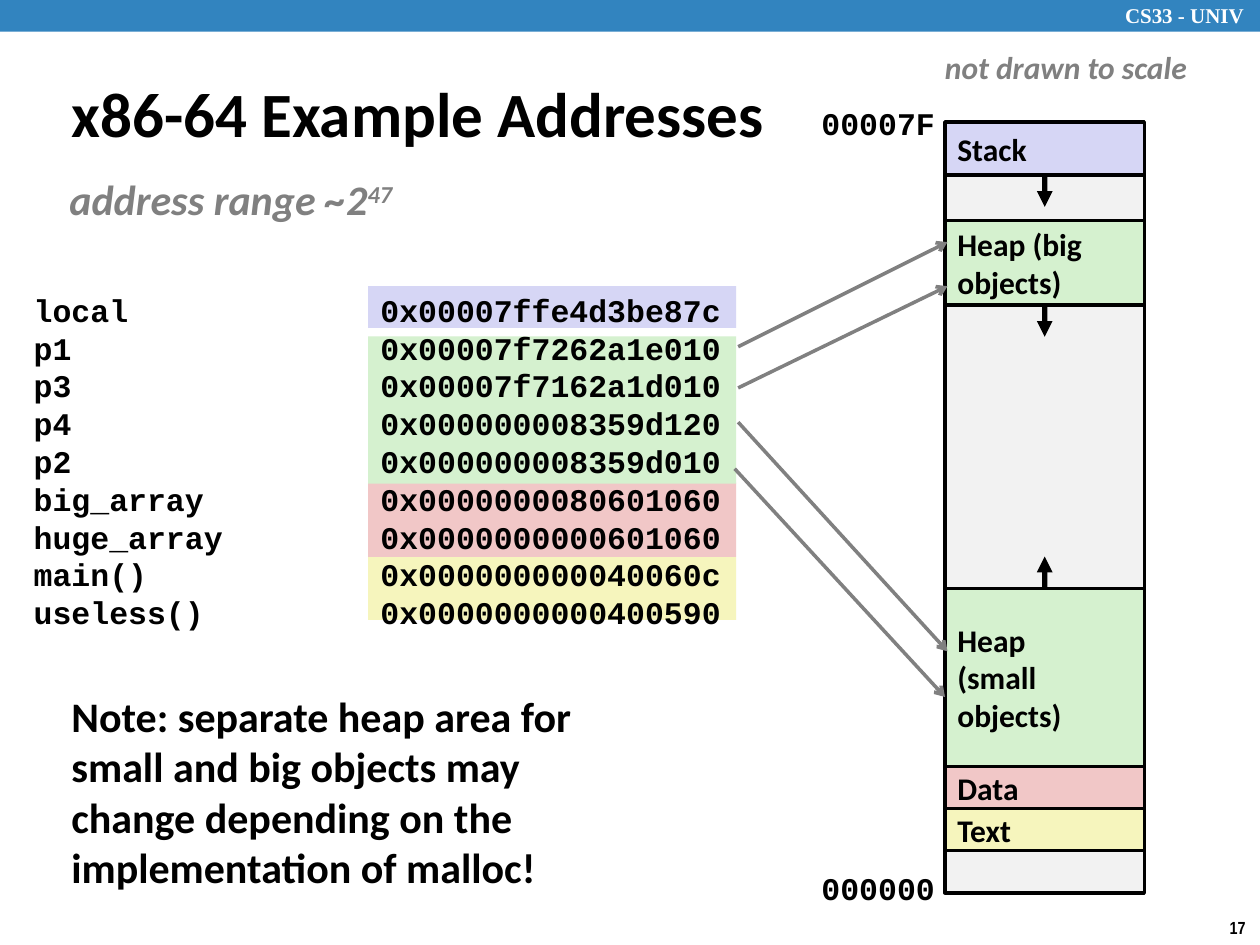
from pptx import Presentation
from pptx.util import Cm, Pt
from pptx.dml.color import RGBColor
from pptx.enum.shapes import MSO_CONNECTOR, MSO_SHAPE
from pptx.enum.text import MSO_ANCHOR, PP_ALIGN
from pptx.oxml.ns import qn
from lxml.etree import SubElement

HUES = {"bar": "3284BF", "stack": "D6D6F5", "heap": "D5F1CF", "data": "F1C7C7",
        "code": "F6F5BD", "free": "F2F2F2", "ink": "000000", "gray": "808080",
        "white": "FFFFFF"}
rgb = {name: RGBColor.from_string(hue) for name, hue in HUES.items()}

deck = Presentation()
deck.slide_width, deck.slide_height = Cm(25.4), Cm(19.05)
slide = deck.slides.add_slide(deck.slide_layouts[6])
shapes = slide.shapes


def write(text, box=None, shape=None, font="Calibri", size=18, hue="ink", italic=False,
          wrap=False, mid=False, inset=None, tab=None, pitch=None, sup=None):
    """Put text in a shape, or in a new text box at box (left, top, width, height in cm)."""
    shape = shape or shapes.add_textbox(*map(Cm, box))
    frame = shape.text_frame
    frame.word_wrap = wrap
    frame.vertical_anchor = MSO_ANCHOR.MIDDLE if mid else MSO_ANCHOR.TOP
    if inset:
        frame.margin_left = frame.margin_right = Cm(inset)
    for i, line in enumerate(text.split("\n")):
        par = frame.paragraphs[0] if i == 0 else frame.add_paragraph()
        par.alignment = PP_ALIGN.LEFT
        if pitch:
            par.line_spacing = Pt(pitch)
        if tab:
            tabs = SubElement(par._p.get_or_add_pPr(), qn("a:tabLst"))
            SubElement(tabs, qn("a:tab"), pos=str(Cm(tab)), algn="l")
        for part in [line, sup] if sup else [line]:
            run = par.add_run()
            run.text = part
            run.font.name, run.font.size = font, Pt(size)
            run.font.bold, run.font.italic = True, italic
            run.font.color.rgb = rgb[hue]
        if sup:
            run._r.get_or_add_rPr().set("baseline", "30000")


def arrow(start, end, hue, width, head):
    """Draw an arrow between two (x, y) points in cm."""
    line = shapes.add_connector(MSO_CONNECTOR.STRAIGHT, *map(Cm, start + end))
    line.line.color.rgb = rgb[hue]
    line.line.width = Pt(width)
    SubElement(line.line._get_or_add_ln(), qn("a:tailEnd"), type=head)
    SubElement(line._element.spPr, qn("a:effectLst"))
    return line


# Filled areas: header bar, bands behind the addresses, memory column
COL, WIDE = 19.05, 4.02
BAND = 7.42
areas = [
    ("bar", 0, 0, 25.4, 0.64, ""),
    ("code", BAND, 11.23, BAND, 1.27, ""),
    ("data", BAND, 9.73, BAND, 1.5, ""),
    ("stack", BAND, 5.77, BAND, 0.84, ""),
    ("heap", BAND, 6.78, BAND, 2.97, ""),
    ("free", COL, 2.48, WIDE, 15.52, ""),
    ("code", COL, 16.3, WIDE, 0.85, "Text"),
    ("data", COL, 15.45, WIDE, 0.85, "Data"),
    ("heap", COL, 11.86, WIDE, 3.59, "Heap\n(small\nobjects)"),
    ("heap", COL, 4.45, WIDE, 1.7, "Heap (big\nobjects)"),
    ("stack", COL, 2.46, WIDE, 1.07, "Stack"),
]
parts = {}
for hue, left, top, width, height, label in areas:
    area = shapes.add_shape(MSO_SHAPE.RECTANGLE, Cm(left), Cm(top), Cm(width), Cm(height))
    area.shadow.inherit = False
    area.fill.solid()
    area.fill.fore_color.rgb = rgb[hue]
    if left == COL:
        area.line.color.rgb = rgb["ink"]
        area.line.width = Pt(2)
    else:
        area.line.fill.background()
    if label:
        write(label, shape=area, wrap=True, mid=True)
        parts[label.split("\n")[0]] = area

# Growth arrows, each leaving the middle of a region's top (0) or bottom (2)
axis = COL + WIDE / 2
for label, side, start, end in [("Stack", 2, 3.53, 4.17), ("Heap", 0, 11.86, 11.22),
                                ("Heap (big", 2, 6.15, 6.79)]:
    grow = arrow((axis, start), (axis, end), "ink", 3, "triangle")
    grow.begin_connect(parts[label], side)

# Pointers from addresses into the heaps
for start, end in [((14.88, 6.99), (19.1, 4.88)), ((14.88, 7.82), (19.1, 5.77)),
                   ((14.88, 8.51), (19.1, 13.13)), ((14.81, 9.45), (19.05, 14.05))]:
    arrow(start, end, "gray", 2, "arrow")

# Header, title and notes
write("CS33 - UNIV", (22.43, -0.08, 3.15, 0.76), font="Times New Roman", size=12,
      hue="white", wrap=True)
write("17", (24.54, 18.36, 0.86, 0.69), font="Arial Narrow", size=10)
write("x86-64 Example Addresses", (1.19, 1.47, 18.26, 1.6), size=36, wrap=True, mid=True)
write("address range ~2", (1.27, 3.38, 6.88, 1.3), size=24, hue="gray", italic=True,
      inset=0.13, sup="47")
write("not drawn to scale", (18.8, 0.84, 5.41, 1.02), hue="gray", italic=True)
write("Note: separate heap area for small and big objects may change depending on "
      "the implementation of malloc!", (1.19, 13.79, 12.14, 4.37), size=24, wrap=True)

# Addresses
for text, top in [("00007F", 1.98), ("000000", 17.4)]:
    write(text, (16.31, top, 2.82, 1.02), font="Courier New")
rows = [
    ("local", "0x00007ffe4d3be87c"),
    ("p1", "0x00007f7262a1e010"),
    ("p3", "0x00007f7162a1d010"),
    ("p4", "0x000000008359d120"),
    ("p2", "0x000000008359d010"),
    ("big_array", "0x0000000080601060"),
    ("huge_array", "0x0000000000601060"),
    ("main()", "0x000000000040060c"),
    ("useless()", "0x0000000000400590"),
]
write("\n".join("\t".join(row) for row in rows), (0.43, 5.74, 15.67, 7.16),
      font="Courier New", wrap=True, tab=6.99, pitch=21.6)

deck.save("out.pptx")
